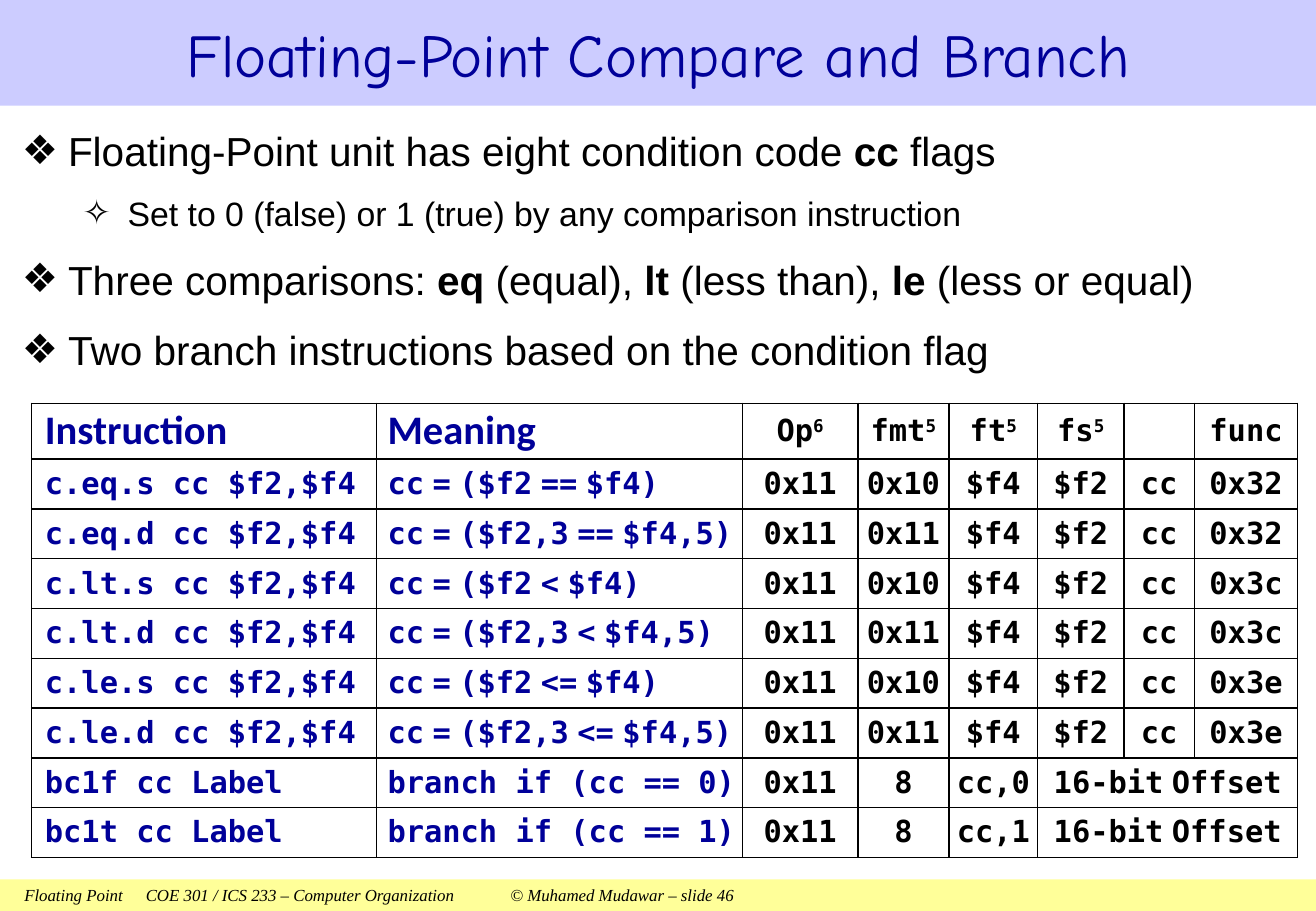
from lxml import etree
from pptx import Presentation
from pptx import util as u
from pptx.dml.color import RGBColor
from pptx.enum import shapes, text
from pptx.oxml import ns

NAVY = RGBColor(0x00, 0x00, 0x99)
BLACK = RGBColor(0x00, 0x00, 0x00)
LAVENDER = RGBColor(0xCC, 0xCC, 0xFF)
YELLOW = RGBColor(0xFF, 0xFF, 0x99)

WIDTH, HEIGHT = 10.83, 7.5
MONO = "DejaVu Sans Mono"
COLUMNS = [2.84, 3.01, 0.95, 0.75, 0.73, 0.71, 0.58, 0.85]
HEADER_HEIGHT, ROW_HEIGHT = 0.46, 0.41
LEFT_ALIGNED = 2
OFFSET_COLUMN = 5

POINTS = [
    (0, "Floating-Point unit has eight condition code *cc* flags"),
    (1, "Set to 0 (false) or 1 (true) by any comparison instruction"),
    (0, "Three comparisons: *eq* (equal), *lt* (less than), *le* (less or equal)"),
    (0, "Two branch instructions based on the condition flag"),
]
LEVELS = [
    {"bullet": "❖", "size": 24, "left": 0.38, "hang": 0.38, "before": 10},
    {"bullet": "✧", "size": 20, "left": 0.87, "hang": 0.37, "before": 8},
]

HEADER = ["Instruction", "Meaning", "Op^6", "fmt^5", "ft^5", "fs^5", "", "func"]
COMPARISONS = [("eq", "==", "0x32"), ("lt", "<", "0x3c"), ("le", "<=", "0x3e")]
PRECISIONS = [("s", "$f2", "$f4", "0x10"), ("d", "$f2,3", "$f4,5", "0x11")]
BRANCHES = [("bc1f", 0), ("bc1t", 1)]


def write(para, words, font="Arial", size=18, color=BLACK, bold=False,
          italic=False, raised=False):
    span = para.add_run()
    span.text = words
    span.font.name = font
    span.font.size = u.Pt(size)
    span.font.color.rgb = color
    span.font.bold = bold
    span.font.italic = italic
    if raised:
        span._r.get_or_add_rPr().set("baseline", "30000")


def write_narrow(para, words, **style):
    for index, word in enumerate(words.split(" ")):
        if index:
            write(para, " ", **{**style, "font": "Arial"})
        write(para, word, **style)


def place(box, left, top, width, height):
    box.left, box.top = u.Inches(left), u.Inches(top)
    box.width, box.height = u.Inches(width), u.Inches(height)


def set_margins(box, left, top, right, bottom):
    box.margin_left, box.margin_top = u.Inches(left), u.Inches(top)
    box.margin_right, box.margin_bottom = u.Inches(right), u.Inches(bottom)


def add_title(page):
    title = page.shapes.title
    place(title, 0, 0, WIDTH, 0.87)
    title.fill.solid()
    title.fill.fore_color.rgb = LAVENDER
    frame = title.text_frame
    frame.auto_size = text.MSO_AUTO_SIZE.NONE
    frame.vertical_anchor = text.MSO_ANCHOR.MIDDLE
    para = frame.paragraphs[0]
    para.alignment = text.PP_ALIGN.CENTER
    write(para, "Floating-Point Compare and Branch", font="Comic Neue",
          size=36, color=NAVY)


def add_points(page):
    body = page.placeholders[1]
    place(body, 0.08, 0.95, 10.62, 2.32)
    frame = body.text_frame
    frame.auto_size = text.MSO_AUTO_SIZE.NONE
    frame.vertical_anchor = text.MSO_ANCHOR.TOP
    set_margins(frame, 0.1, 0.05, 0, 0.05)
    for index, (level, words) in enumerate(POINTS):
        look = LEVELS[level]
        para = frame.add_paragraph() if index else frame.paragraphs[0]
        para.level = level
        para.line_spacing = 1.1
        para.space_before = u.Pt(look["before"] if index else 0)
        props = para._p.get_or_add_pPr()
        props.set("marL", str(u.Inches(look["left"])))
        props.set("indent", str(-u.Inches(look["hang"])))
        etree.SubElement(props, ns.qn("a:buChar"), char=look["bullet"])
        for part, piece in enumerate(words.split("*")):
            write(para, piece, size=look["size"], bold=part % 2 == 1)


def table_rows():
    rows = [HEADER]
    for name, sign, func in COMPARISONS:
        for suffix, first, second, fmt in PRECISIONS:
            rows.append([f"c.{name}.{suffix} cc $f2,$f4",
                         f"cc = ({first} {sign} {second})",
                         "0x11", fmt, "$f4", "$f2", "cc", func])
    for name, flag in BRANCHES:
        rows.append([f"{name} cc Label", f"branch if (cc == {flag})",
                     "0x11", "8", f"cc,{flag}", "16-bit Offset"])
    return rows


def draw_borders(cell):
    props = cell._tc.get_or_add_tcPr()
    for index, side in enumerate(("lnL", "lnR", "lnT", "lnB")):
        line = etree.Element(ns.qn(f"a:{side}"), w=str(u.Pt(1)))
        fill = etree.SubElement(line, ns.qn("a:solidFill"))
        etree.SubElement(fill, ns.qn("a:srgbClr"), val=str(BLACK))
        props.insert(index, line)


def fill_cell(cell, words, column, is_header):
    cell.vertical_anchor = text.MSO_ANCHOR.MIDDLE
    para = cell.text_frame.paragraphs[0]
    style = {"font": MONO, "size": 18, "bold": True}
    if column < LEFT_ALIGNED:
        style["color"] = NAVY
        if is_header:
            style.update(font="Calibri", size=24)
    else:
        para.alignment = text.PP_ALIGN.CENTER
    side = {0: 0.11, 1: 0.09}.get(column, 0)
    set_margins(cell, side, 0.02, 0, 0.02)
    base, _, power = words.partition("^")
    if words.startswith(("cc =", "16-bit")):
        write_narrow(para, base, **style)
    elif base:
        write(para, base, **style)
    if power:
        write(para, power, raised=True, **style)


def add_instruction_table(page):
    rows = table_rows()
    height = HEADER_HEIGHT + ROW_HEIGHT * (len(rows) - 1)
    frame = page.shapes.add_table(
        len(rows), len(COLUMNS), u.Inches(0.26), u.Inches(3.32),
        u.Inches(sum(COLUMNS)), u.Inches(height))
    table = frame.table
    table.first_row = table.horz_banding = False
    for column, width in zip(table.columns, COLUMNS):
        column.width = u.Inches(width)
    for index, values in enumerate(rows):
        table.rows[index].height = u.Inches(
            ROW_HEIGHT if index else HEADER_HEIGHT)
        for column in range(len(COLUMNS)):
            cell = table.cell(index, column)
            cell.fill.background()
            draw_borders(cell)
            if column < len(values):
                fill_cell(cell, values[column], column, index == 0)
        if len(values) < len(COLUMNS):
            table.cell(index, OFFSET_COLUMN).merge(
                table.cell(index, len(COLUMNS) - 1))


def add_footer(page):
    bar = page.shapes.add_shape(shapes.MSO_SHAPE.RECTANGLE, 0, 0, 0, 0)
    place(bar, 0, 7.24, WIDTH, HEIGHT - 7.24)
    bar.shadow.inherit = False
    bar.fill.solid()
    bar.fill.fore_color.rgb = YELLOW
    bar.line.fill.background()
    frame = bar.text_frame
    frame.word_wrap = True
    frame.vertical_anchor = text.MSO_ANCHOR.MIDDLE
    set_margins(frame, 0.2, 0.05, 0.1, 0.05)
    para = frame.paragraphs[0]
    para.alignment = text.PP_ALIGN.LEFT
    tabs = etree.SubElement(para._p.get_or_add_pPr(), ns.qn("a:tabLst"))
    for stop in (1, 4):
        etree.SubElement(tabs, ns.qn("a:tab"), pos=str(u.Inches(stop)), algn="l")
    write(para, "Floating Point\tCOE 301 / ICS 233 – Computer Organization"
          "\t© Muhamed Mudawar – slide 46",
          font="Times New Roman", size=10, italic=True)


def main():
    deck = Presentation()
    deck.slide_width, deck.slide_height = u.Inches(WIDTH), u.Inches(HEIGHT)
    page = deck.slides.add_slide(deck.slide_layouts[1])
    add_footer(page)
    add_title(page)
    add_points(page)
    add_instruction_table(page)
    deck.save("out.pptx")


if __name__ == "__main__":
    main()
